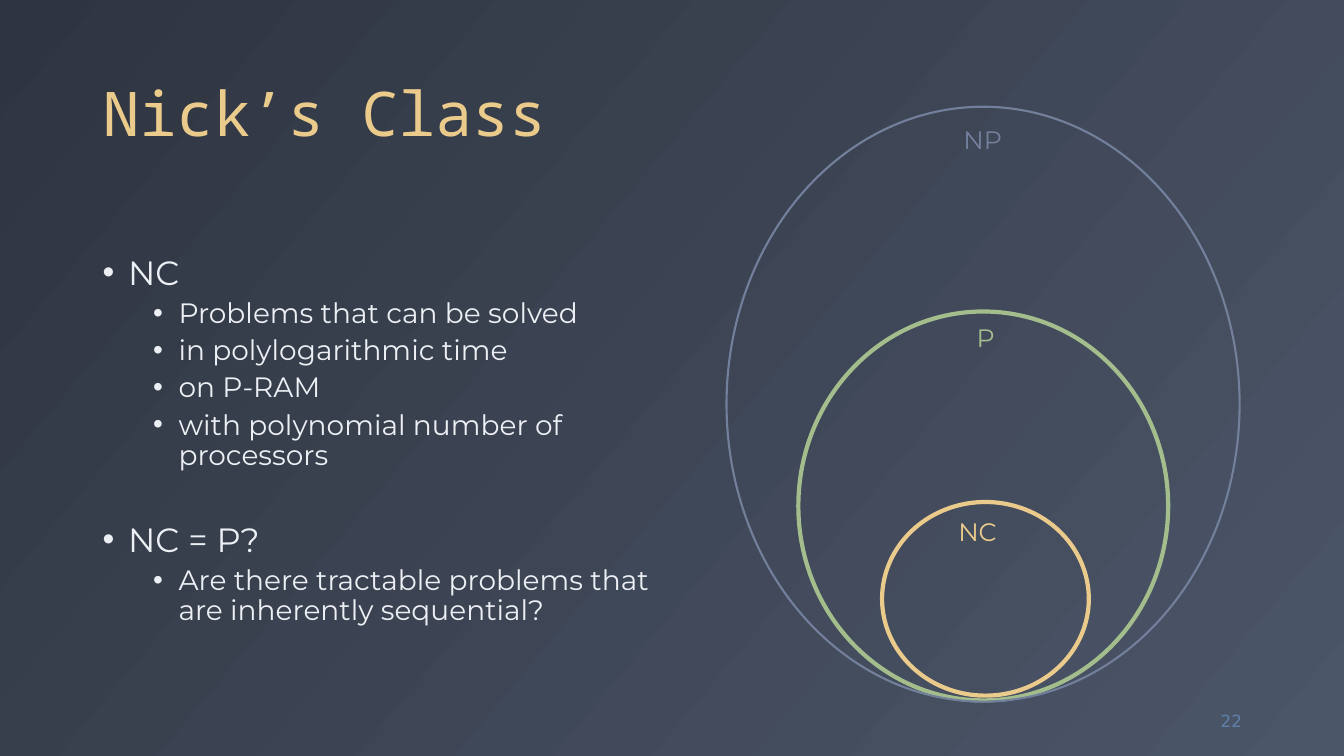
from typing import NamedTuple

import lxml.etree
import pptx
import pptx.dml.color
import pptx.enum.shapes
import pptx.enum.text
import pptx.oxml.ns
import pptx.slide
import pptx.text.text
import pptx.util

Cm = pptx.util.Cm
Pt = pptx.util.Pt
RGBColor = pptx.dml.color.RGBColor
Anchor = pptx.enum.text.MSO_ANCHOR
Align = pptx.enum.text.PP_ALIGN

NIGHT = RGBColor(0x2E, 0x34, 0x40)
SLATE = RGBColor(0x4C, 0x56, 0x69)
SNOW = RGBColor(0xEC, 0xEF, 0xF3)
YELLOW = RGBColor(0xEB, 0xCB, 0x8B)
GREEN = RGBColor(0xA3, 0xBE, 0x8C)
STEEL = RGBColor(0x73, 0x80, 0x9B)
BLUE = RGBColor(0x5E, 0x81, 0xAC)

TITLE_FONT = "Noto Sans Mono"
BODY_FONT = "Montserrat"
NUMBER_FONT = "DejaVu Sans"


class Area(NamedTuple):
    """Left, top, width and height in centimetres."""
    left: float
    top: float
    width: float
    height: float


class ComplexityClass(NamedTuple):
    name: str
    color: RGBColor
    line_width: float
    ring: Area
    label: Area


class Bullet(NamedTuple):
    text: str
    level: int
    space_before: float


CLASSES = [
    ComplexityClass("P", GREEN, 3, Area(20.12, 7.85, 9.32, 9.8), Area(24.36, 8, 0.97, 1.02)),
    ComplexityClass("NP", STEEL, 1.5, Area(18.31, 2.69, 12.93, 14.99), Area(24.03, 3, 1.5, 1.02)),
    ComplexityClass("NC", YELLOW, 3, Area(22.23, 12.65, 5.21, 4.88), Area(23.9, 12.88, 1.5, 1.02)),
]

BULLETS = [
    Bullet("NC", 0, 10),
    Bullet("Problems that can be solved", 1, 5),
    Bullet("in polylogarithmic time", 1, 5),
    Bullet("on P-RAM", 1, 5),
    Bullet("with polynomial number of processors", 1, 5),
    Bullet("NC = P?", 0, 37),
    Bullet("Are there tractable problems that are inherently sequential?", 1, 5),
]


def to_lengths(area: Area) -> list[pptx.util.Length]:
    return [Cm(value) for value in area]


def style_text(para: pptx.text.text._Paragraph, font: str, size: float, color: RGBColor) -> None:
    for span in para.runs:
        span.font.name = font
        span.font.size = Pt(size)
        span.font.color.rgb = color


def add_text(slide: pptx.slide.Slide, area: Area, text: str, font: str, size: float,
             color: RGBColor, anchor: Anchor = Anchor.TOP,
             wrap: bool = True) -> pptx.text.text._Paragraph:
    frame = slide.shapes.add_textbox(*to_lengths(area)).text_frame
    frame.word_wrap = wrap
    frame.vertical_anchor = anchor
    frame.text = text
    para = frame.paragraphs[0]
    style_text(para, font, size, color)
    return para


def add_bullets(slide: pptx.slide.Slide, area: Area, bullets: list[Bullet]) -> None:
    frame = slide.shapes.add_textbox(*to_lengths(area)).text_frame
    frame.word_wrap = True
    frame.vertical_anchor = Anchor.MIDDLE
    frame.text = "\n".join(bullet.text for bullet in bullets)
    for para, bullet in zip(frame.paragraphs, bullets):
        para.level = bullet.level
        para.line_spacing = 0.9
        para.space_before = Pt(bullet.space_before)
        style_text(para, BODY_FONT, 24 - 4 * bullet.level, SNOW)
        # Hanging indent and bullet character
        properties = para._p.get_or_add_pPr()
        properties.set("marL", str(Cm(0.64 + 1.27 * bullet.level)))
        properties.set("indent", str(Cm(-0.64)))
        mark_font = lxml.etree.SubElement(properties, pptx.oxml.ns.qn("a:buFont"))
        mark_font.set("typeface", "Arial")
        mark = lxml.etree.SubElement(properties, pptx.oxml.ns.qn("a:buChar"))
        mark.set("char", "•")


def add_class(slide: pptx.slide.Slide, item: ComplexityClass) -> None:
    ring = slide.shapes.add_shape(pptx.enum.shapes.MSO_SHAPE.OVAL, *to_lengths(item.ring))
    ring.shadow.inherit = False
    ring.fill.background()
    ring.line.color.rgb = item.color
    ring.line.width = Pt(item.line_width)
    add_text(slide, item.label, item.name, BODY_FONT, 18, item.color, wrap=False)


deck = pptx.Presentation()
deck.slide_width, deck.slide_height = Cm(33.87), Cm(19.05)
page = deck.slides.add_slide(deck.slide_layouts[6])

# Background gradient, running down to the right
background = page.background.fill
background.gradient()
background.gradient_angle = 320
for stop, color in zip(background.gradient_stops, (NIGHT, SLATE)):
    stop.color.rgb = color

# Title, bullets and page number
title = add_text(page, Area(2.34, 0.46, 29.21, 3.45), "Nick’s Class", TITLE_FONT, 44,
                 YELLOW, Anchor.BOTTOM)
title.line_spacing = 0.9
add_bullets(page, Area(2.34, 5.08, 14.4, 12.09), BULLETS)
number = add_text(page, Area(29.44, 17.65, 2.11, 1.02), "22", NUMBER_FONT, 12, BLUE,
                  Anchor.MIDDLE)
number.alignment = Align.RIGHT

# Nested complexity classes
for complexity_class in CLASSES:
    add_class(page, complexity_class)

deck.save("out.pptx")
